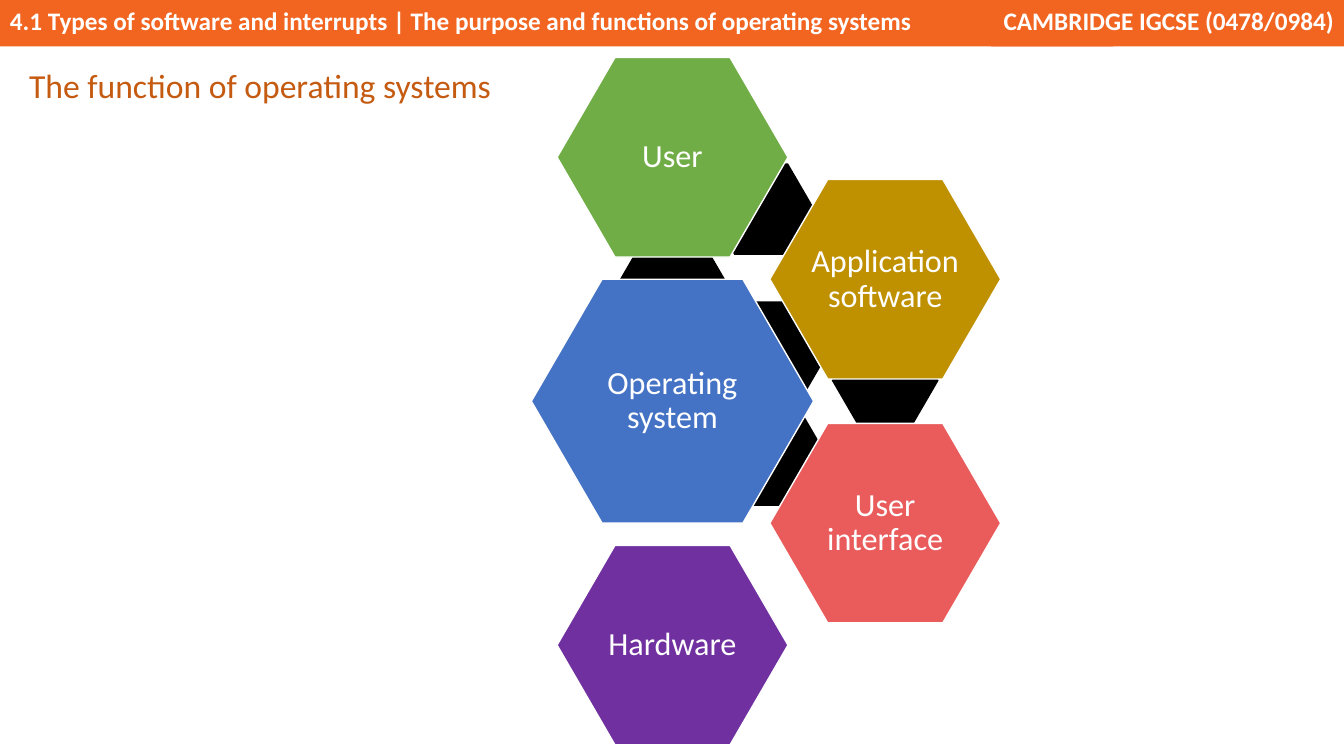
import pptx
import pptx.util
from pptx.dml.color import RGBColor
from pptx.enum.shapes import MSO_SHAPE
from pptx.enum.text import MSO_ANCHOR, PP_ALIGN
from pptx.util import Inches

ORANGE = RGBColor(0xF2, 0x65, 0x21)
RUST = RGBColor(0xC5, 0x5A, 0x11)
GREEN = RGBColor(0x70, 0xAD, 0x47)
GOLD = RGBColor(0xBF, 0x90, 0x00)
BLUE = RGBColor(0x44, 0x72, 0xC4)
CORAL = RGBColor(0xEA, 0x5C, 0x5C)
PURPLE = RGBColor(0x70, 0x30, 0xA0)
BLACK = RGBColor(0, 0, 0)
WHITE = RGBColor(0xFF, 0xFF, 0xFF)

deck = pptx.Presentation()
deck.slide_width, deck.slide_height = Inches(13.33), Inches(7.5)
page = deck.slides.add_slide(deck.slide_layouts[6])


def add_shape(kind, left, top, width, height, fill, outline=None):
    shape = page.shapes.add_shape(
        kind, Inches(left), Inches(top), Inches(width), Inches(height))
    shape.shadow.inherit = False
    shape.fill.solid()
    shape.fill.fore_color.rgb = fill
    if outline is None:
        shape.line.fill.background()
    else:
        shape.line.color.rgb = outline
        shape.line.width = pptx.util.Pt(1)
    return shape


def write(box, text, size=18, color=WHITE, bold=False, align=PP_ALIGN.LEFT,
          anchor=MSO_ANCHOR.TOP, spacing=1.0, inset=None):
    frame = box.text_frame
    frame.word_wrap = True
    frame.vertical_anchor = anchor
    if inset is not None:
        frame.margin_left = frame.margin_right = Inches(inset)
        frame.margin_top = frame.margin_bottom = Inches(inset)
    para = frame.paragraphs[0]
    para.alignment = align
    para.line_spacing = spacing
    span = para.add_run()
    span.text = text
    span.font.name = "Calibri"
    span.font.size = pptx.util.Pt(size)
    span.font.bold = bold
    span.font.color.rgb = color


# Header band
for left, width, text, align in [
    (0, 11.04, "4.1 Types of software and interrupts | "
               "The purpose and functions of operating systems", PP_ALIGN.LEFT),
    (9.83, 3.5, "CAMBRIDGE IGCSE (0478/0984)", PP_ALIGN.RIGHT),
]:
    band = add_shape(MSO_SHAPE.RECTANGLE, left, 0, width, 0.46, ORANGE)
    write(band, text, bold=True, align=align)

# Title
title = page.shapes.add_textbox(Inches(0.19), Inches(0.57), Inches(7.09), Inches(0.51))
write(title, "The function of operating systems", size=24, color=RUST, spacing=1.07)

# Black links behind the hexagons
for left, top in [(7.19, 2.99), (7.17, 4.11), (6.14, 2.33), (7.02, 1.62), (8.25, 3.32)]:
    link = add_shape(MSO_SHAPE.HEXAGON, left, top, 1.06, 0.91, BLACK)
    link.adjustments[0] = 0.29

# Hexagons in two columns, with label boxes two thirds of their size
COLUMN_CENTERS = [6.67, 8.78]
FIRST_CENTER, ROW_STEP = 1.56, 1.21
LABEL_SCALE = 0.67
SMALL, LARGE = (2.29, 1.98), (2.8, 2.42)
for text, column, row, (width, height), fill in [
    ("Operating system", 0, 2, LARGE, BLUE),
    ("User", 0, 0, SMALL, GREEN),
    ("Application software", 1, 1, SMALL, GOLD),
    ("User interface", 1, 3, SMALL, CORAL),
    ("Hardware", 0, 4, SMALL, PURPLE),
]:
    center_x = COLUMN_CENTERS[column]
    center_y = FIRST_CENTER + row * ROW_STEP
    hexagon = add_shape(MSO_SHAPE.HEXAGON, center_x - width / 2,
                        center_y - height / 2, width, height, fill, WHITE)
    hexagon.adjustments[0] = 0.29
    label_width, label_height = width * LABEL_SCALE, height * LABEL_SCALE
    label = page.shapes.add_textbox(
        Inches(center_x - label_width / 2), Inches(center_y - label_height / 2),
        Inches(label_width), Inches(label_height))
    write(label, text, size=23, align=PP_ALIGN.CENTER,
          anchor=MSO_ANCHOR.MIDDLE, spacing=0.9, inset=0)

deck.save("out.pptx")
